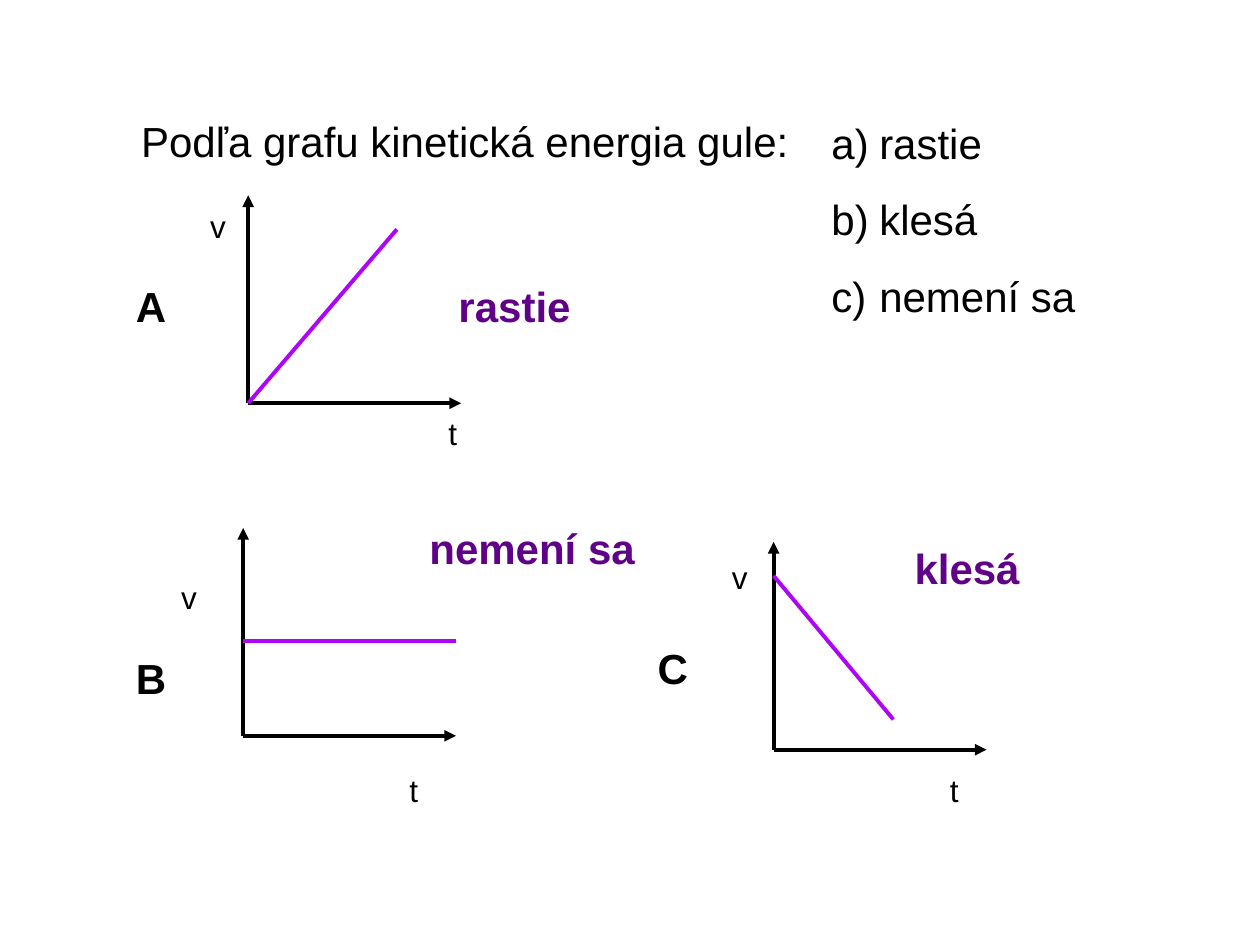
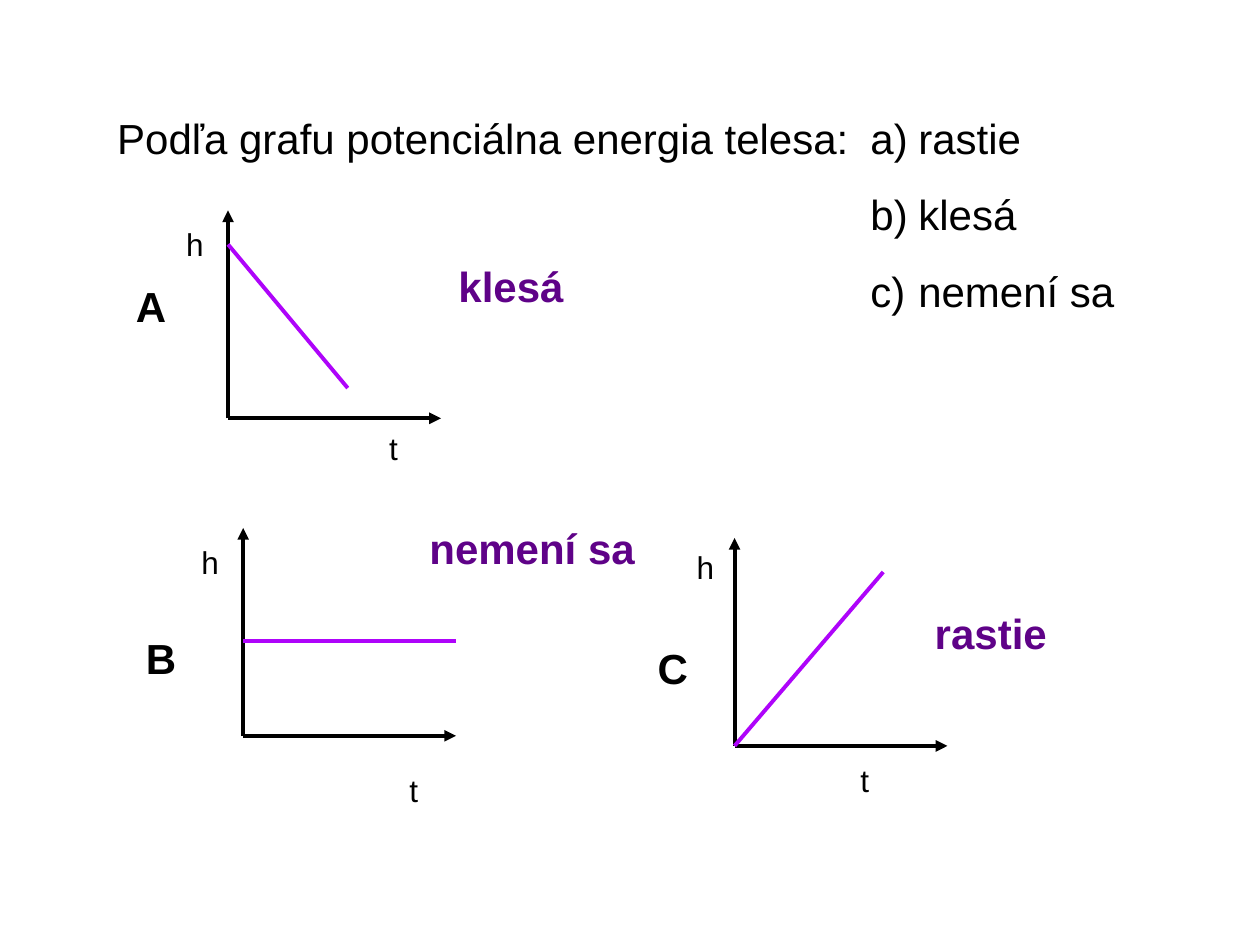
"""Builds two quiz slides on reading energy changes from graphs."""
from dataclasses import dataclass

from lxml.etree import SubElement
from pptx import Presentation
from pptx.dml.color import RGBColor
from pptx.enum.shapes import MSO_CONNECTOR
from pptx.enum.text import MSO_ANCHOR, PP_ALIGN
from pptx.oxml.ns import qn
from pptx.util import Inches, Pt

COLORS = {"text": "000000", "trend": "AE04FA", "answer": "5F0288"}
FONT = "Arial"
AXIS_WIDTH, AXIS_HEIGHT = 1.69, 1.65
TRENDS = {
    "rastie": ((0, 0), (1.18, 1.38)),
    "klesá": ((0, 1.38), (0.95, 0.24)),
    "nemení sa": ((0, 0.75), (AXIS_WIDTH, 0.75)),
}


@dataclass
class Graph:
    """One lettered graph: its answer, its origin and where its labels stand."""
    letter: str
    answer: str
    origin: tuple
    letter_at: tuple
    answer_at: tuple
    vertical_at: tuple
    time_at: tuple


def format_paragraph(paragraph, size, color="text", bold=False):
    """Give a paragraph the shared font and left alignment."""
    paragraph.alignment = PP_ALIGN.LEFT
    paragraph.font.name = FONT
    paragraph.font.size = Pt(size)
    paragraph.font.bold = bold
    paragraph.font.color.rgb = RGBColor.from_string(COLORS[color])


def add_title(slide, text, left, top, width):
    """Place and format the title placeholder."""
    title = slide.shapes.title
    title.left, title.top = Inches(left), Inches(top)
    title.width, title.height = Inches(width), Inches(0.71)
    title.text_frame.text = text
    title.text_frame.vertical_anchor = MSO_ANCHOR.TOP
    format_paragraph(title.text_frame.paragraphs[0], 24)


def add_text_box(slide, position, width, height):
    """Add a wrapping text box and return its text frame."""
    left, top = position
    box = slide.shapes.add_textbox(
        Inches(left), Inches(top), Inches(width), Inches(height))
    box.text_frame.word_wrap = True
    return box.text_frame


def add_label(slide, text, position, width, size=24, color="text", bold=True):
    """Add a one-line label."""
    frame = add_text_box(slide, position, width, 0.5 if size == 24 else 0.4)
    frame.text = text
    format_paragraph(frame.paragraphs[0], size, color, bold)


def add_options(slide, position):
    """Add the lettered list of possible answers."""
    frame = add_text_box(slide, position, 2.21, 1.72)
    frame.text = "\n".join(TRENDS)
    for index, paragraph in enumerate(frame.paragraphs):
        properties = paragraph._p.get_or_add_pPr()
        properties.set("marL", str(Inches(0.38)))
        properties.set("indent", str(-Inches(0.38)))
        SubElement(properties, qn("a:buAutoNum"), type="alphaLcParenR")
        if index:
            paragraph.space_before = Pt(15)
        format_paragraph(paragraph, 24)


def add_line(shapes, origin, start, end, color="text", arrow=False):
    """Draw a line between offsets measured right and up from the origin."""
    ends = [Inches(value) for right, up in (start, end)
            for value in (origin[0] + right, origin[1] - up)]
    connector = shapes.add_connector(MSO_CONNECTOR.STRAIGHT, *ends)
    connector.line.color.rgb = RGBColor.from_string(COLORS[color])
    connector.line.width = Pt(2.25)
    if arrow:
        SubElement(connector.line._get_or_add_ln(), qn("a:tailEnd"), type="triangle")
    SubElement(connector._element.spPr, qn("a:effectLst"))


def add_graph(slide, graph, quantity):
    """Draw the axes, the trend line and the labels of a graph."""
    axes = slide.shapes.add_group_shape()
    for end in ((0, AXIS_HEIGHT), (AXIS_WIDTH, 0)):
        add_line(axes.shapes, graph.origin, (0, 0), end, arrow=True)
    add_line(slide.shapes, graph.origin, *TRENDS[graph.answer], color="trend")
    add_label(slide, quantity, graph.vertical_at, 0.4, size=18, bold=False)
    add_label(slide, "t", graph.time_at, 0.63, size=18, bold=False)
    add_label(slide, graph.letter, graph.letter_at, 0.55)
    add_label(slide, graph.answer, graph.answer_at, 1.85, color="answer")


def add_quiz_slide(presentation, question, title_box, options_at, quantity, graphs):
    """Add a slide with a question, its options and its graphs."""
    slide = presentation.slides.add_slide(presentation.slide_layouts[5])
    add_title(slide, question, *title_box)
    add_options(slide, options_at)
    for graph in graphs:
        add_graph(slide, graph, quantity)


def main():
    """Build and save the presentation."""
    presentation = Presentation()
    presentation.slide_width, presentation.slide_height = Inches(10), Inches(7.5)
    add_quiz_slide(
        presentation, "Podľa grafu kinetická energia gule:",
        (1.02, 0.87, 7.96), (6.5, 0.88), "v", [
            Graph("A", "rastie", (1.97, 3.2), (0.98, 2.18), (3.54, 2.18),
                  (1.57, 1.59), (3.46, 3.24)),
            Graph("B", "nemení sa", (1.93, 5.84), (0.98, 5.13), (3.31, 4.1),
                  (1.34, 4.54), (3.15, 6.07)),
            Graph("C", "klesá", (6.14, 5.95), (5.12, 5.05), (7.16, 4.26),
                  (5.71, 4.38), (7.44, 6.07)),
        ])
    add_quiz_slide(
        presentation, "Podľa grafu potenciálna energia telesa:",
        (0.83, 0.84, 6.02), (6.81, 0.84), "h", [
            Graph("A", "klesá", (1.81, 3.32), (0.98, 2.18), (3.54, 2.02),
                  (1.38, 1.74), (2.99, 3.36)),
            Graph("B", "nemení sa", (1.93, 5.84), (1.06, 4.97), (3.31, 4.1),
                  (1.5, 4.26), (3.15, 6.07)),
            Graph("C", "rastie", (5.83, 5.92), (5.12, 5.05), (7.32, 4.77),
                  (5.43, 4.3), (6.73, 5.99)),
        ])
    presentation.save("out.pptx")


if __name__ == "__main__":
    main()
